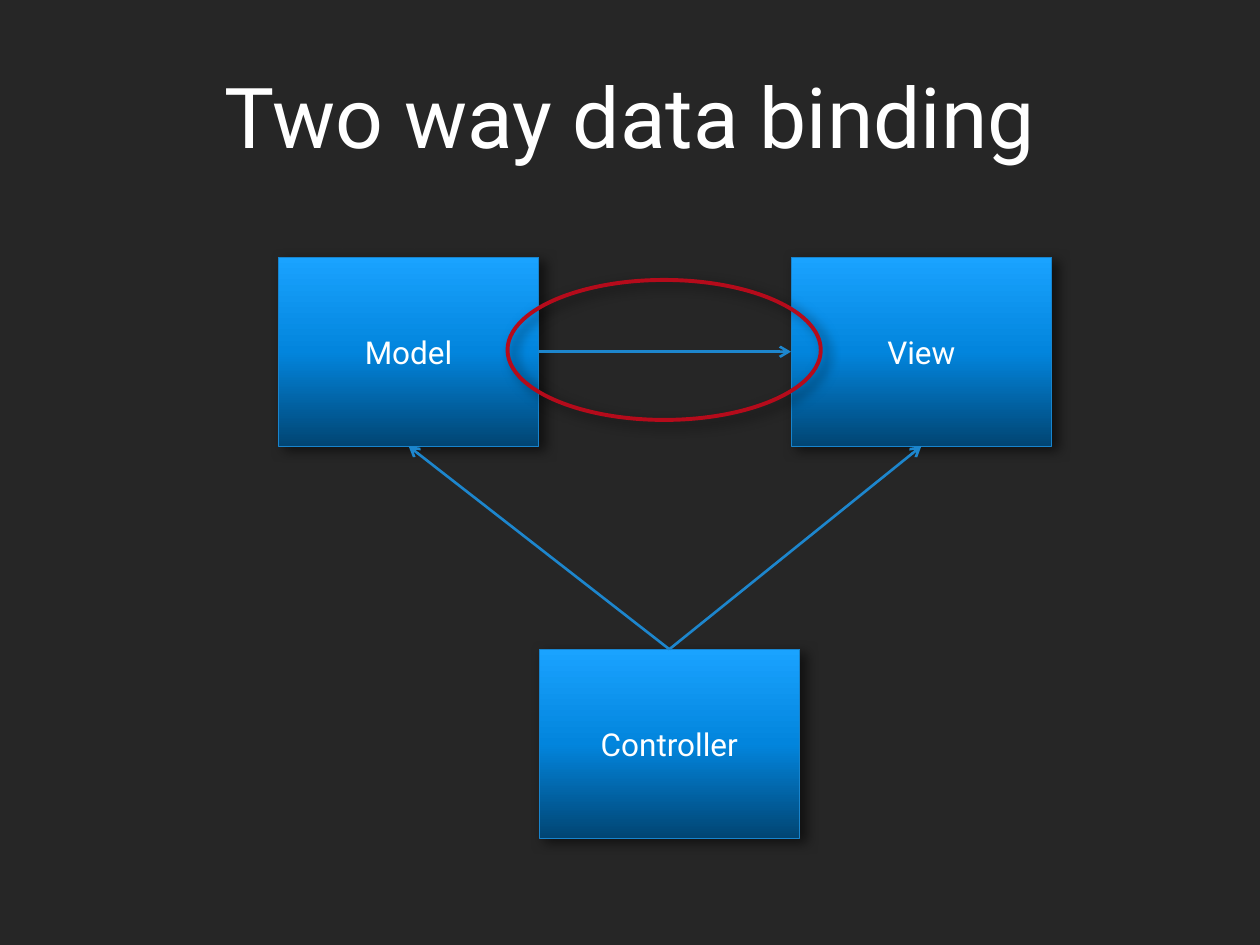
"""Build a slide showing two way data binding between model, view and controller."""
from lxml import etree
from pptx import Presentation
from pptx.dml.color import RGBColor
from pptx.enum.shapes import MSO_CONNECTOR, MSO_SHAPE
from pptx.enum.text import MSO_ANCHOR, PP_ALIGN
from pptx.oxml import parse_xml
from pptx.oxml.ns import nsdecls, qn
from pptx.util import Pt

RECT, OVAL = MSO_SHAPE.RECTANGLE, MSO_SHAPE.OVAL
STRAIGHT = MSO_CONNECTOR.STRAIGHT
MIDDLE, CENTER = MSO_ANCHOR.MIDDLE, PP_ALIGN.CENTER
TOP, LEFT, BOTTOM, RIGHT = range(4)

FONT = "Roboto"
COLORS = {"background": "262626", "text": "FFFFFF", "border": "1884CD",
          "arrow": "1D86CD", "highlight": "B50B1B", "shadow": "000000"}
GRADIENT = [(0, "014573"), (50, "0285DD"), (100, "1AA3FF")]

TITLE = "Two way data binding"
TITLE_BOX = (54, 9.5, 612, 112)
BOX_SIZE = (149, 108)
BOXES = {"Model": (159, 147), "View": (452, 147), "Controller": (308, 371)}
ARROWS = [("Model", RIGHT, "View", LEFT),
          ("Controller", TOP, "Model", BOTTOM),
          ("Controller", TOP, "View", BOTTOM)]
HIGHLIGHT = (290, 160, 179, 80)


def rgb(name):
    return RGBColor.from_string(COLORS[name])


def set_line(s, color, width):
    s.line.color.rgb = rgb(color)
    s.line.width = Pt(width)


def set_text(s, text, size):
    tf = s.text_frame
    tf.word_wrap = True
    tf.vertical_anchor = MIDDLE
    tf.text = text
    p = tf.paragraphs[0]
    p.alignment = CENTER
    font = p.runs[0].font
    font.name, font.size = FONT, Pt(size)
    font.color.rgb = rgb("text")


def set_gradient(s):
    s.fill.gradient()
    s.fill.gradient_angle = 90
    stops = s._element.spPr.find(qn("a:gradFill")).find(qn("a:gsLst"))
    for stop in list(stops):
        stops.remove(stop)
    for position, color in GRADIENT:
        stop = etree.SubElement(stops, qn("a:gs"), pos=str(position * 1000))
        etree.SubElement(stop, qn("a:srgbClr"), val=color)


def add_shadow(s):
    s.shadow.inherit = False
    effects = s._element.spPr.find(qn("a:effectLst"))
    effects.append(parse_xml(
        f'<a:outerShdw {nsdecls("a")} blurRad="{Pt(7)}" dist="{Pt(4)}" '
        f'dir="{35 * 60000}" rotWithShape="0"><a:srgbClr val="{COLORS["shadow"]}">'
        '<a:alpha val="55000"/></a:srgbClr></a:outerShdw>'))


def add_box(slide, text, position):
    s = slide.shapes.add_shape(RECT, *map(Pt, position + BOX_SIZE))
    set_gradient(s)
    set_line(s, "border", 0.5)
    add_shadow(s)
    set_text(s, text, 18)
    return s


def add_arrow(slide, start, start_side, end, end_side):
    s = slide.shapes.add_connector(STRAIGHT, 0, 0, 0, 0)
    s.begin_connect(start, start_side)
    s.end_connect(end, end_side)
    set_line(s, "arrow", 1.5)
    etree.SubElement(s.line._get_or_add_ln(), qn("a:tailEnd"), type="arrow")
    etree.SubElement(s._element.spPr, qn("a:effectLst"))


def main():
    prs = Presentation()
    prs.slide_width, prs.slide_height = Pt(720), Pt(540)
    slide = prs.slides.add_slide(prs.slide_layouts[6])
    slide.background.fill.solid()
    slide.background.fill.fore_color.rgb = rgb("background")

    title = slide.shapes.add_textbox(*map(Pt, TITLE_BOX))
    set_text(title, TITLE, 48)
    boxes = {text: add_box(slide, text, position) for text, position in BOXES.items()}
    for start, start_side, end, end_side in ARROWS:
        add_arrow(slide, boxes[start], start_side, boxes[end], end_side)

    ring = slide.shapes.add_shape(OVAL, *map(Pt, HIGHLIGHT))
    ring.fill.background()
    set_line(ring, "highlight", 2.25)
    add_shadow(ring)
    prs.save("out.pptx")


if __name__ == "__main__":
    main()
